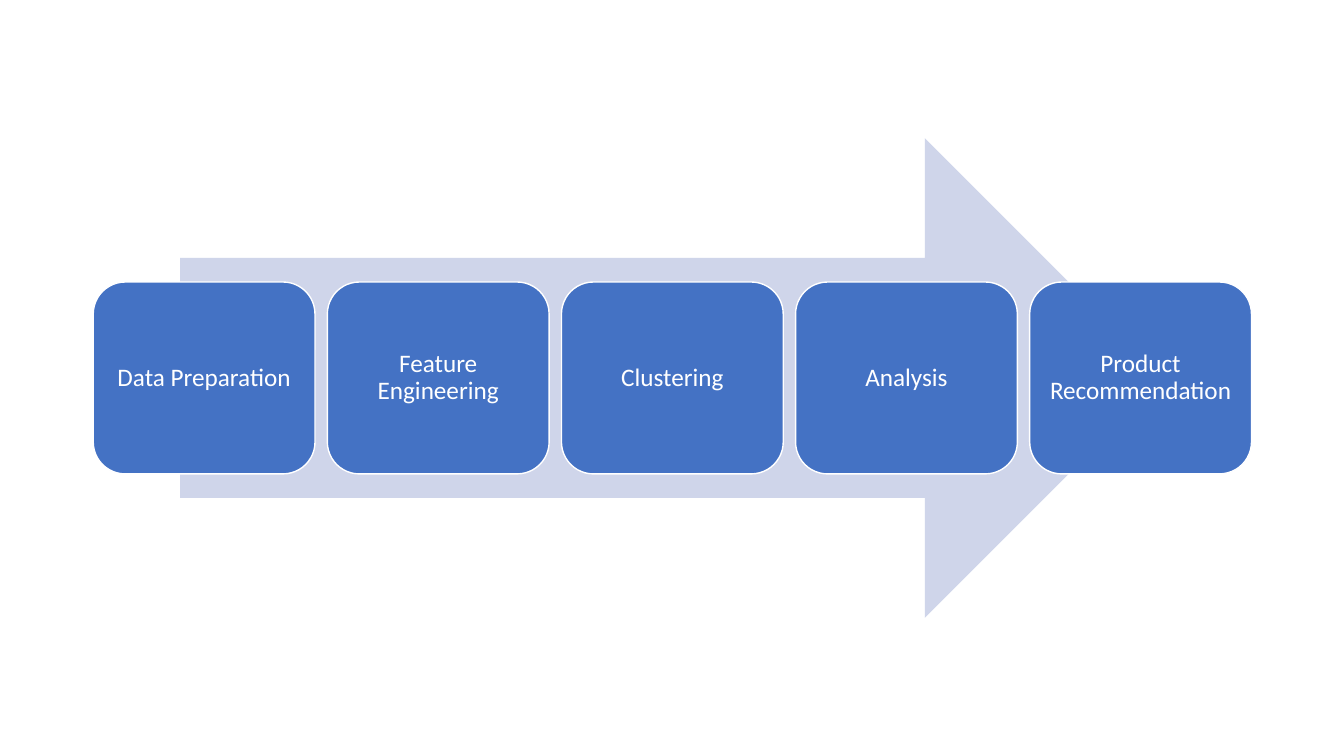
from pptx import Presentation
from pptx.dml.color import RGBColor
from pptx.enum.shapes import MSO_SHAPE
from pptx.enum.text import MSO_ANCHOR, PP_ALIGN
from pptx.util import Cm, Pt

COLORS = {"arrow": "CFD5EA", "step": "4472C4", "white": "FFFFFF"}
STEPS = [
    "Data Preparation",
    "Feature Engineering",
    "Clustering",
    "Analysis",
    "Product Recommendation",
]
STEP_GAP = 0.31
ARROW_WIDTH_SHARE = 0.85
STEP_HEIGHT_SHARE = 0.4


def color(key):
    """Return the named colour."""
    return RGBColor.from_string(COLORS[key])


def add_filled(slide, preset, left, top, width, height, fill):
    """Add a flat preset shape placed in centimetres."""
    shape = slide.shapes.add_shape(preset, Cm(left), Cm(top), Cm(width), Cm(height))
    shape.shadow.inherit = False
    shape.fill.solid()
    shape.fill.fore_color.rgb = color(fill)
    return shape


def add_step(slide, label, left, top, width, height):
    """Add one rounded step with its centred label."""
    step = add_filled(slide, MSO_SHAPE.ROUNDED_RECTANGLE, left, top, width, height, "step")
    step.line.color.rgb = color("white")
    step.line.width = Pt(1)
    frame = step.text_frame
    frame.text = label
    frame.word_wrap = True
    frame.vertical_anchor = MSO_ANCHOR.MIDDLE
    frame.margin_left = frame.margin_right = Cm(0.19)
    frame.margin_top = frame.margin_bottom = Cm(0.19)
    paragraph = frame.paragraphs[0]
    paragraph.alignment = PP_ALIGN.CENTER
    paragraph.line_spacing = 0.9
    font = paragraph.runs[0].font
    font.name = "Calibri"
    font.size = Pt(18)
    font.color.rgb = color("white")


def add_process(slide, left, top, width, height):
    """Lay the steps in an even row over an arrow centred in the box."""
    arrow_width = width * ARROW_WIDTH_SHARE
    arrow_left = left + (width - arrow_width) / 2
    arrow = add_filled(
        slide, MSO_SHAPE.RIGHT_ARROW, arrow_left, top, arrow_width, height, "arrow"
    )
    arrow.line.fill.background()

    step_width = (width - STEP_GAP * (len(STEPS) - 1)) / len(STEPS)
    step_height = height * STEP_HEIGHT_SHARE
    step_top = top + (height - step_height) / 2
    for index, label in enumerate(STEPS):
        step_left = left + index * (step_width + STEP_GAP)
        add_step(slide, label, step_left, step_top, step_width, step_height)


def main():
    """Build and save the presentation."""
    presentation = Presentation()
    presentation.slide_width = Cm(33.87)
    presentation.slide_height = Cm(19.05)
    slide = presentation.slides.add_slide(presentation.slide_layouts[6])
    add_process(slide, 2.35, 3.48, 29.19, 12.09)
    presentation.save("out.pptx")


if __name__ == "__main__":
    main()
